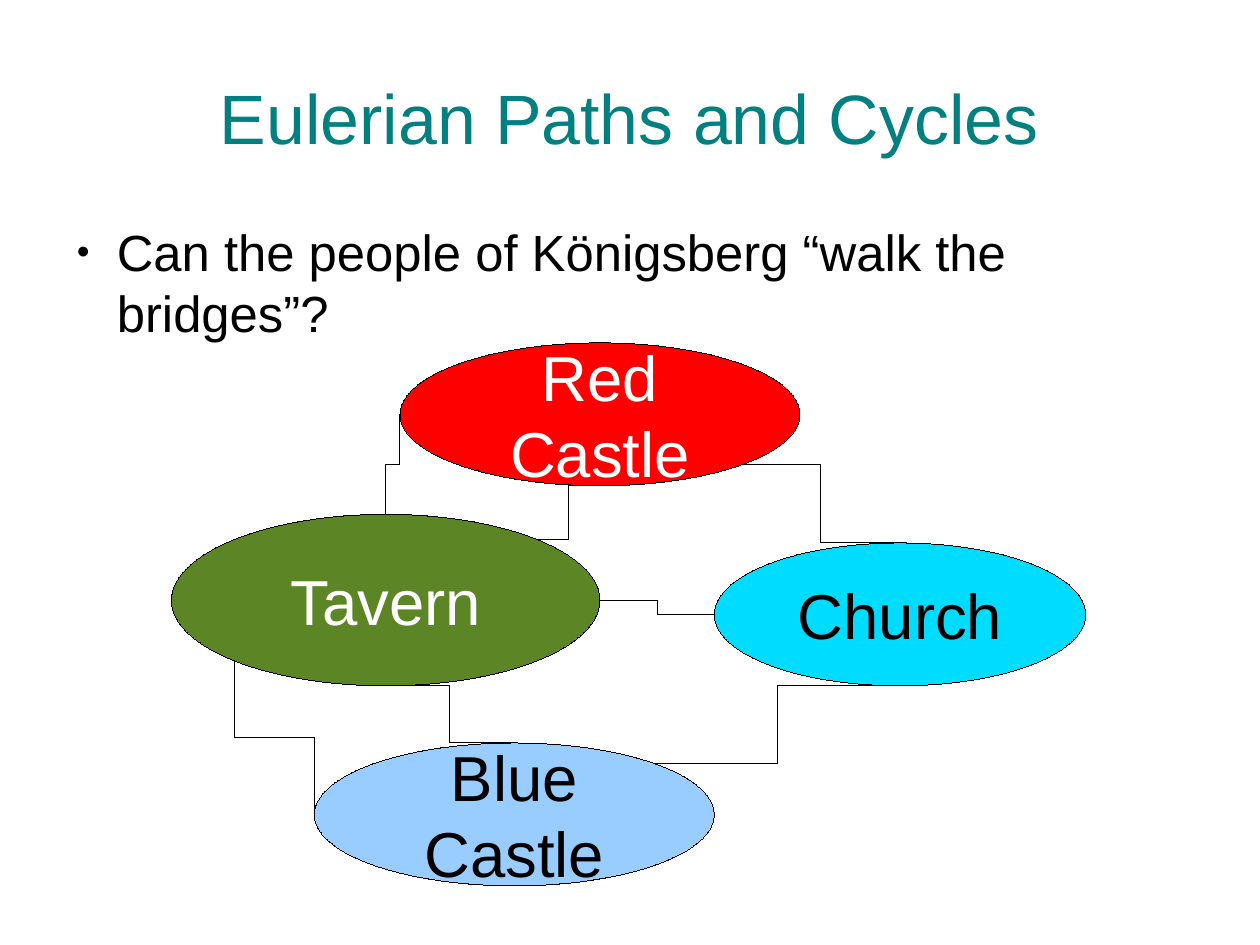
from math import cos, radians, sin

from lxml.etree import SubElement
from pptx import Presentation
from pptx.dml.color import RGBColor
from pptx.enum.shapes import MSO_CONNECTOR, MSO_SHAPE
from pptx.enum.text import MSO_ANCHOR, PP_ALIGN
from pptx.oxml.ns import qn
from pptx.util import Pt

FONT = "Arial"
BLACK, WHITE, TEAL = "000000", "FFFFFF", "008080"

# name: (left, top, width, height, fill, text colour)
PLACES = {
    "Tavern": (108, 324, 270, 108, "5C8526", WHITE),
    "Blue Castle": (198, 468, 252, 90, "99CCFF", BLACK),
    "Red Castle": (252, 216, 252, 90, "FF0000", WHITE),
    "Church": (450, 342, 234, 90, "00DCFF", BLACK),
}

# Clockwise angles from the right-hand end of an ellipse
RIGHT, LOWER_RIGHT, BOTTOM, LOWER_LEFT, LEFT, TOP, UPPER_RIGHT = (
    0, 45, 90, 135, 180, 270, 315)

# (start place, start side, end place, end side, leaves vertically)
BRIDGES = [
    ("Tavern", RIGHT, "Church", LEFT, False),
    ("Tavern", UPPER_RIGHT, "Red Castle", BOTTOM, False),
    ("Red Castle", LOWER_RIGHT, "Church", TOP, False),
    ("Blue Castle", TOP, "Tavern", BOTTOM, False),
    ("Blue Castle", UPPER_RIGHT, "Church", BOTTOM, False),
    ("Tavern", TOP, "Red Castle", LEFT, True),
    ("Tavern", LOWER_LEFT, "Blue Castle", LEFT, True),
]


def color(hex_string):
    return RGBColor.from_string(hex_string)


def set_text(shape, text, size, font_color, alignment):
    shape.text_frame.word_wrap = True
    shape.text_frame.text = text
    paragraph = shape.text_frame.paragraphs[0]
    paragraph.alignment = alignment
    font = paragraph.runs[0].font
    font.name, font.size = FONT, Pt(size)
    font.color.rgb = color(font_color)
    return paragraph


def add_text(slide, box, text, size, font_color, alignment, anchor):
    shape = slide.shapes.add_textbox(*map(Pt, box))
    frame = shape.text_frame
    frame.margin_left = frame.margin_right = 0
    frame.margin_top = frame.margin_bottom = 0
    frame.vertical_anchor = anchor
    return set_text(shape, text, size, font_color, alignment)


def add_bullet(paragraph):
    paragraph.space_after = Pt(14.2)
    properties = paragraph._p.get_or_add_pPr()
    properties.set("marL", str(Pt(34)))
    properties.set("indent", str(Pt(-25.5)))
    bullet_color = SubElement(properties, qn("a:buClr"))
    SubElement(bullet_color, qn("a:srgbClr"), val=BLACK)
    SubElement(properties, qn("a:buSzPct"), val="45000")
    SubElement(properties, qn("a:buFont"), typeface=FONT)
    SubElement(properties, qn("a:buChar"), char="●")


def set_hairline(shape):
    """Write the zero width as XML, since line.width leaves out a zero."""
    shape.line.color.rgb = color(BLACK)
    shape._element.spPr.find(qn("a:ln")).set("w", "0")


def add_place(slide, name):
    *box, fill, font_color = PLACES[name]
    shape = slide.shapes.add_shape(MSO_SHAPE.OVAL, *map(Pt, box))
    shape.shadow.inherit = False
    shape.fill.solid()
    shape.fill.fore_color.rgb = color(fill)
    set_hairline(shape)
    shape.text_frame.vertical_anchor = MSO_ANCHOR.MIDDLE
    set_text(shape, name, 40, font_color, PP_ALIGN.CENTER)


def rim_point(name, angle):
    left, top, width, height = PLACES[name][:4]
    return (left + width / 2 * (1 + cos(radians(angle))),
            top + height / 2 * (1 + sin(radians(angle))))


def add_bridge(slide, start, start_side, end, end_side, vertical):
    """Draw an elbow; one that leaves vertically is a level elbow turned."""
    x1, y1 = rim_point(start, start_side)
    x2, y2 = rim_point(end, end_side)
    rotation = 0
    if vertical:
        rotation = 90 if y2 < y1 else 270
        turn = 1 if rotation == 90 else -1
        middle_x, middle_y = (x1 + x2) / 2, (y1 + y2) / 2
        half_x, half_y = turn * (y2 - y1) / 2, turn * (x2 - x1) / 2
        x1, y1 = middle_x - half_x, middle_y + half_y
        x2, y2 = middle_x + half_x, middle_y - half_y
    connector = slide.shapes.add_connector(
        MSO_CONNECTOR.ELBOW, Pt(x1), Pt(y1), Pt(x2), Pt(y2))
    set_hairline(connector)
    properties = connector._element.spPr
    SubElement(properties, qn("a:effectLst"))
    if rotation:
        properties.find(qn("a:xfrm")).set("rot", str(rotation * 60000))


def main():
    presentation = Presentation()
    presentation.slide_width, presentation.slide_height = Pt(793.75), Pt(595.25)
    slide = presentation.slides.add_slide(presentation.slide_layouts[6])
    add_text(slide, (39.6, 23.76, 714.24, 99.36), "Eulerian Paths and Cycles",
             44, TEAL, PP_ALIGN.CENTER, MSO_ANCHOR.MIDDLE)
    question = add_text(slide, (39.6, 138.96, 714.24, 95.04),
                        "Can the people of Königsberg “walk the bridges”?",
                        32, BLACK, PP_ALIGN.LEFT, MSO_ANCHOR.TOP)
    add_bullet(question)
    for name in PLACES:
        add_place(slide, name)
    for bridge in BRIDGES:
        add_bridge(slide, *bridge)
    presentation.save("out.pptx")


if __name__ == "__main__":
    main()
